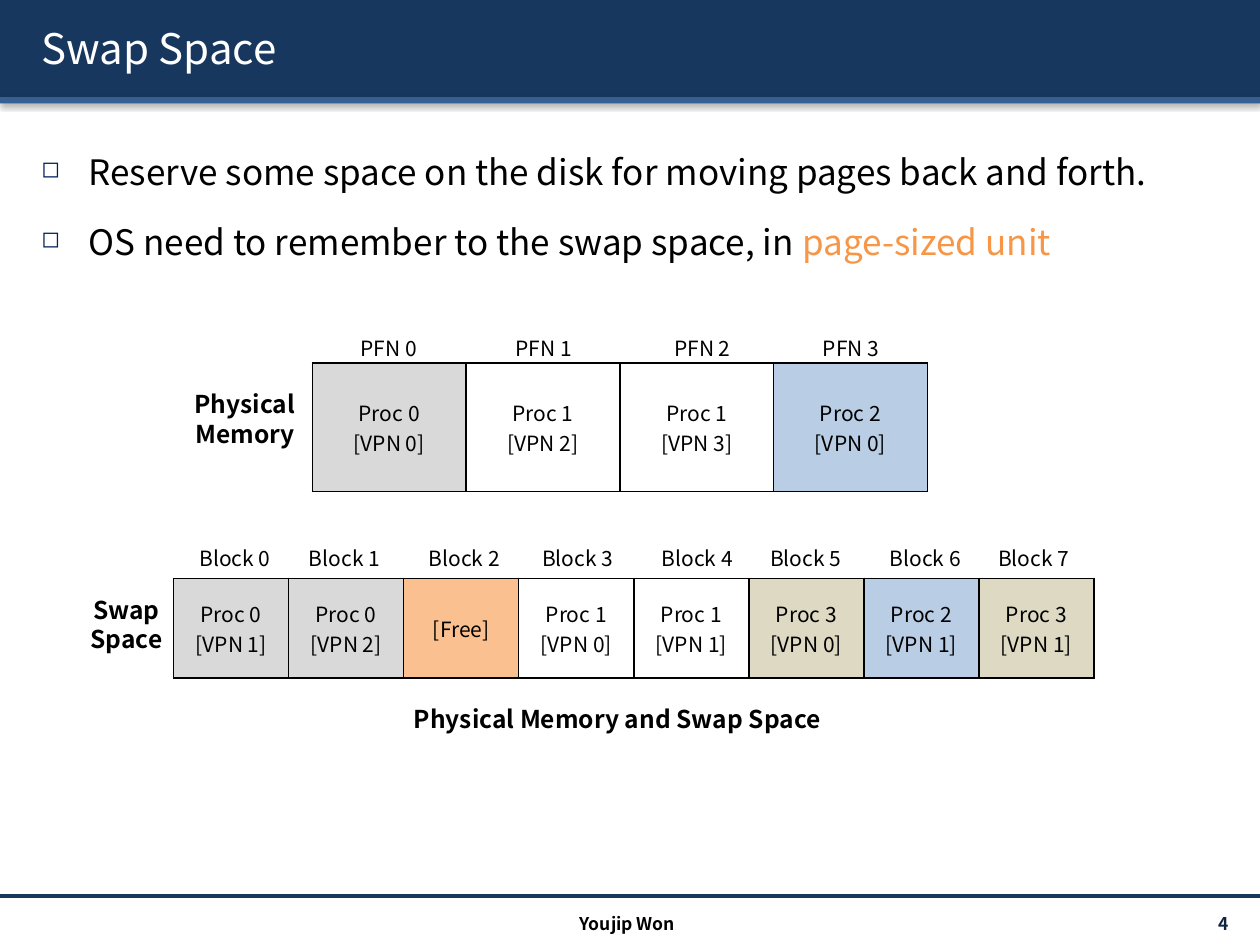
import lxml.etree
import pptx
import pptx.dml.color
import pptx.enum.shapes
import pptx.enum.text
import pptx.oxml.ns
import pptx.util

Pt = pptx.util.Pt
RGB = pptx.dml.color.RGBColor
ALIGN = pptx.enum.text.PP_ALIGN
ANCHOR = pptx.enum.text.MSO_ANCHOR

FONT = "Noto Sans CJK KR"
NAVY = RGB(0x17, 0x37, 0x5E)
BLUE = RGB(0x37, 0x60, 0x92)
DARK = RGB(0x0F, 0x24, 0x3E)
BLACK = RGB(0, 0, 0)
WHITE = RGB(255, 255, 255)
ORANGE = RGB(0xF7, 0x96, 0x46)
GRAY = RGB(0xD9, 0xD9, 0xD9)
SKY = RGB(0xB9, 0xCD, 0xE5)
PEACH = RGB(0xFA, 0xC0, 0x90)
TAN = RGB(0xDD, 0xD9, 0xC3)

WIDE = 127.4  # width of a label box
FRAMES = [("Proc 0\n[VPN 0]", GRAY), ("Proc 1\n[VPN 2]", None),
          ("Proc 1\n[VPN 3]", None), ("Proc 2\n[VPN 0]", SKY)]
BLOCKS = [("Proc 0\n[VPN 1]", GRAY), ("Proc 0\n[VPN 2]", GRAY),
          ("[Free]", PEACH), ("Proc 1\n[VPN 0]", None),
          ("Proc 1\n[VPN 1]", None), ("Proc 3\n[VPN 0]", TAN),
          ("Proc 2\n[VPN 1]", SKY), ("Proc 3\n[VPN 1]", TAN)]
FRAME_X = [158.4, 247, 337.7, 422.6]
BLOCK_X = [70.6, 133.2, 201.6, 266.4, 334.8, 396.7, 465.1, 527]


def add_xml(parent, text):
    """Append a DrawingML fragment to parent and return it."""
    space = pptx.oxml.ns.nsdecls("a")
    head, mark, tail = text.partition(">")
    if head.endswith("/"):
        head, mark = head[:-1], "/>"
    node = pptx.oxml.parse_xml(f"{head} {space}{mark}{tail}")
    parent.append(node)
    return node


def shade(parent, blur, dist, angle, alpha):
    return add_xml(parent, (
        f'<a:effectLst><a:outerShdw blurRad="{Pt(blur)}" dist="{Pt(dist)}" '
        f'dir="{angle * 60000}"><a:srgbClr val="000000">'
        f'<a:alpha val="{alpha * 1000}"/></a:srgbClr></a:outerShdw></a:effectLst>'))


def style(font, size, color=BLACK, bold=False):
    font.name, font.size, font.bold = FONT, Pt(size), bold
    font.color.rgb = color


def add_bar(slide, top, height, color):
    bar = slide.shapes.add_shape(pptx.enum.shapes.MSO_SHAPE.RECTANGLE,
                                 0, Pt(top), Pt(720), Pt(height))
    bar.fill.solid()
    bar.fill.fore_color.rgb = color
    bar.line.fill.background()
    shade(bar._element.spPr, 3.1, 1.6, 90, 38)


def add_rule(slide, y):
    rule = slide.shapes.add_connector(pptx.enum.shapes.MSO_CONNECTOR.STRAIGHT,
                                      0, Pt(y), Pt(720), Pt(y))
    rule.line.color.rgb = NAVY
    rule.line.width = Pt(2)
    add_xml(rule._element.spPr, "<a:effectLst/>")


def add_box(slide, x, y, width, height):
    box = slide.shapes.add_textbox(Pt(x), Pt(y), Pt(width), Pt(height))
    box.text_frame.word_wrap = True
    return box.text_frame


def add_label(slide, text, x, y, width, height, size,
              color=BLACK, bold=False, align=ALIGN.CENTER):
    frame = add_box(slide, x, y, width, height)
    frame.text = text
    for par in frame.paragraphs:
        par.alignment = align
        par.line_spacing = Pt(1.2 * size)
        style(par.runs[0].font, size, color, bold)
    return frame


def add_title(slide, text):
    frame = add_box(slide, 16.6, 4.3, 692, 46)
    frame.vertical_anchor = ANCHOR.MIDDLE
    frame.text = text
    run = frame.paragraphs[0].runs[0]
    style(run.font, 24, WHITE)
    props = run.font._element
    glow = shade(props, 3, 3, 45, 100)
    props.find(pptx.oxml.ns.qn("a:solidFill")).addnext(glow)


def add_bullets(slide, items):
    """Each item is a list of (text, color) pieces."""
    frame = add_box(slide, 16.6, 70.5, 692, 432)
    for i, item in enumerate(items):
        par = frame.add_paragraph() if i else frame.paragraphs[0]
        par.line_spacing = Pt(36)
        if i:
            par.space_before = Pt(4)
        props = par._p.get_or_add_pPr()
        props.set("marL", str(Pt(27)))
        props.set("indent", str(Pt(-27)))
        add_xml(props, '<a:buClr><a:srgbClr val="002060"/></a:buClr>')
        add_xml(props, '<a:buSzPct val="65000"/>')
        add_xml(props, '<a:buChar char="◻"/>')
        for text, color in item:
            run = par.add_run()
            run.text = text
            style(run.font, 20, color)


def add_border(cell):
    props = cell._tc.get_or_add_tcPr()
    for i, side in enumerate(("lnL", "lnR", "lnT", "lnB")):
        line = add_xml(props, (
            f'<a:{side} w="{Pt(1)}"><a:solidFill><a:srgbClr val="000000"/>'
            f'</a:solidFill></a:{side}>'))
        props.insert(i, line)


def add_strip(slide, cells, x, y, width, height):
    """One-row table of (text, fill) cells."""
    shape = slide.shapes.add_table(1, len(cells), Pt(x), Pt(y),
                                   Pt(width), Pt(height))
    table = shape.table
    table.first_row = table.horz_banding = False
    for i, (text, color) in enumerate(cells):
        table.columns[i].width = Pt(width / len(cells))
        cell = table.cell(0, i)
        cell.text = text
        cell.vertical_anchor = ANCHOR.MIDDLE
        if color is None:
            cell.fill.background()
        else:
            cell.fill.solid()
            cell.fill.fore_color.rgb = color
        add_border(cell)
        for par in cell.text_frame.paragraphs:
            par.alignment = ALIGN.CENTER
            style(par.runs[0].font, 12)


def add_heads(slide, word, lefts, y):
    for i, x in enumerate(lefts):
        add_label(slide, f"{word} {i}", x, y, WIDE, 21.8, 12)


def main():
    deck = pptx.Presentation()
    deck.slide_width, deck.slide_height = Pt(720), Pt(540)
    slide = deck.slides.add_slide(deck.slide_layouts[6])

    add_bar(slide, 0, 55.5, NAVY)
    add_bar(slide, 55.5, 3.6, BLUE)
    add_rule(slide, 512)
    add_title(slide, "Swap Space")
    add_bullets(slide, [
        [("Reserve some space on the disk for moving pages back and forth.", BLACK)],
        [("OS need to remember to the swap space, in ", BLACK),
         ("page-sized unit", ORANGE)],
    ])

    add_strip(slide, FRAMES, 178.5, 207.5, 351.4, 73.5)
    add_label(slide, "Physical\nMemory", 76.3, 218.9, WIDE, 41, 14, bold=True)
    add_heads(slide, "PFN", FRAME_X, 188)

    add_strip(slide, BLOCKS, 99.2, 330.5, 526, 56.9)
    add_label(slide, "Swap\nSpace", 8.6, 336.3, WIDE, 41, 14, bold=True)
    add_heads(slide, "Block", BLOCK_X, 308.2)

    add_label(slide, "Physical Memory and Swap Space",
              212.4, 398.9, 280.8, 24.5, 14, bold=True)
    add_label(slide, "Youjip Won", 239, 518.4, 239, 17.3, 10, bold=True)
    page = add_label(slide, "4", 627, 519.1, 82, 17.3, 10, DARK, True, ALIGN.RIGHT)
    page.vertical_anchor = ANCHOR.MIDDLE

    deck.save("out.pptx")


if __name__ == "__main__":
    main()
